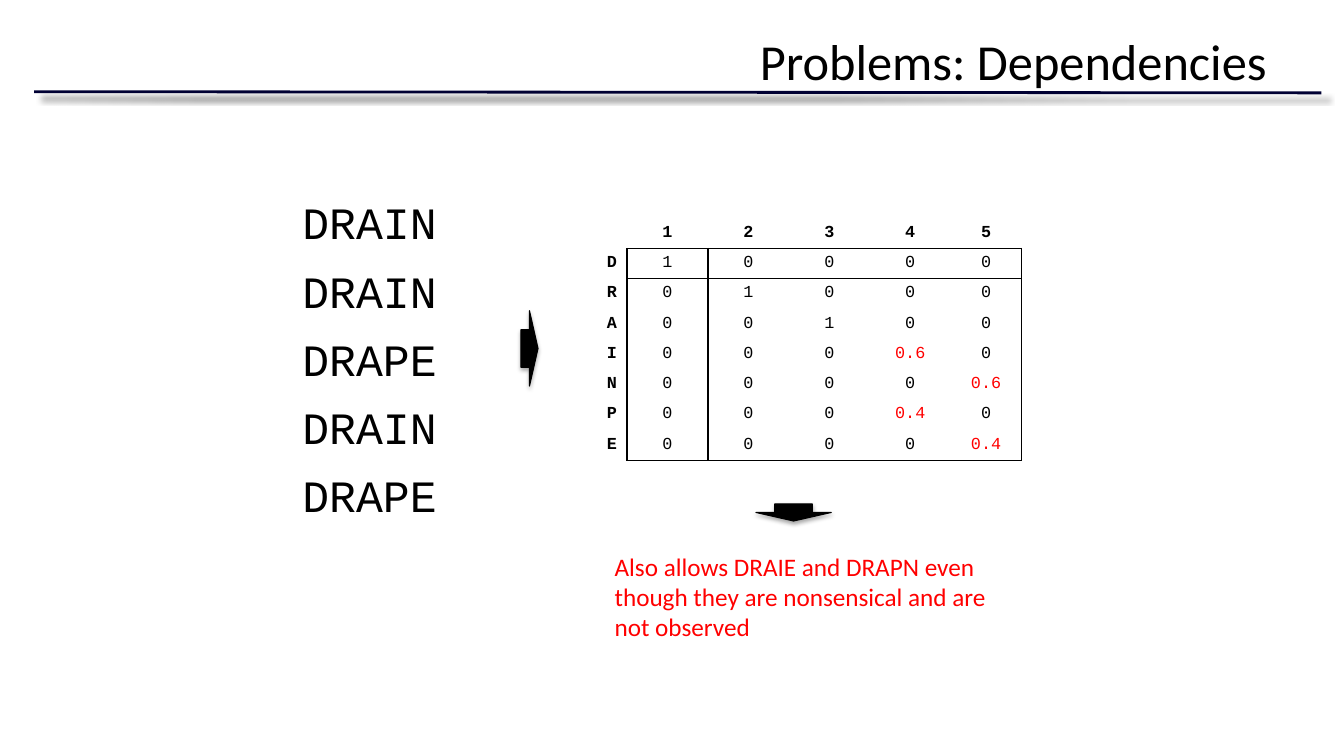
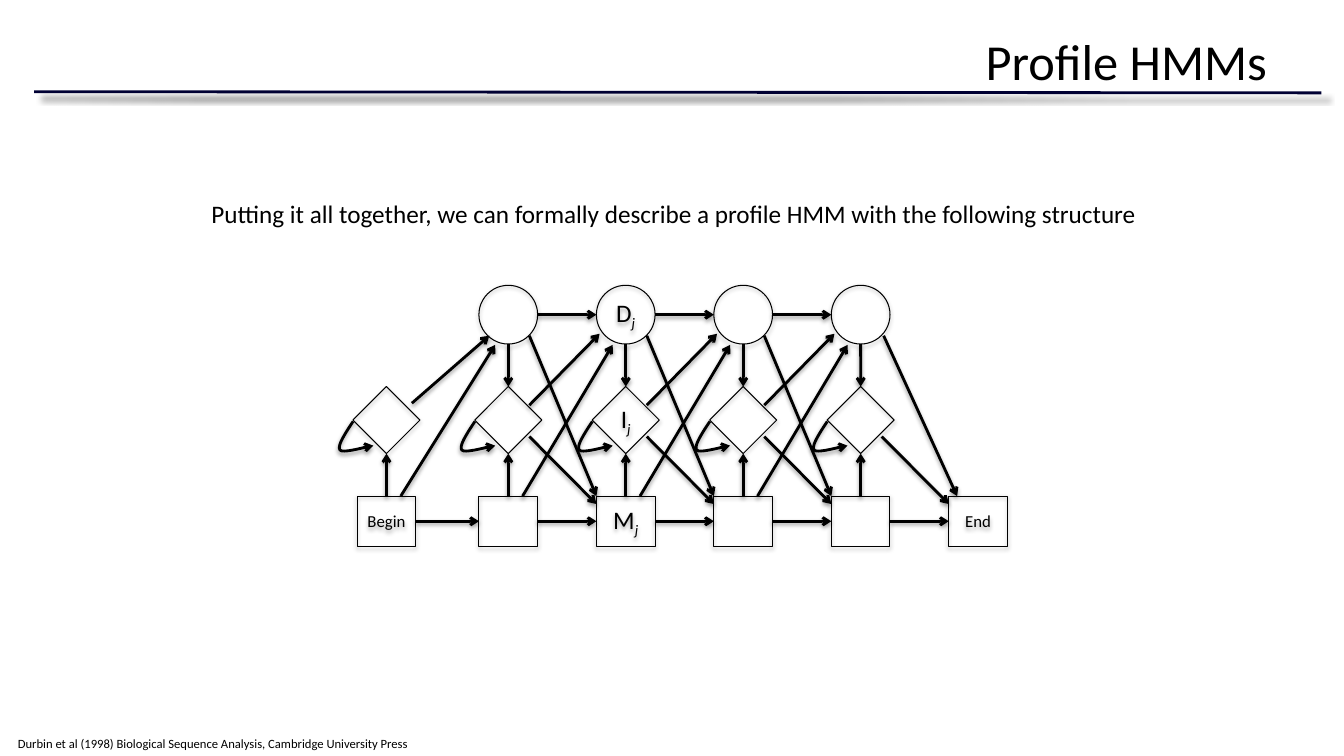
from dataclasses import dataclass

from pptx import Presentation
from pptx import util as u
from pptx.dml.color import RGBColor
from pptx.enum import shapes, text
from pptx.oxml import ns, parse_xml
from pptx.util import Cm, Pt


@dataclass(frozen=True)
class Theme:
    ink: str = "000000"
    accent: str = "FF0000"
    rule: str = "000033"
    sans: str = "Calibri"
    mono: str = "Courier New"
    title: int = 36
    sequence: int = 32
    body: int = 18
    small: int = 12
    source: int = 9
    thin: float = 0.75
    thick: float = 2


THEME = Theme()
KIND = shapes.MSO_SHAPE
ALIGN = text.PP_ALIGN
# Shadows: opacity %, blur pt, distance pt, angle
RULE_SHADOW = (50, 4, 6, 45)
SHAPE_SHADOW = (35, 3.1, 1.8, 90)
ARROW_SHADOW = (38, 3.1, 1.6, 90)

# Content: dependencies
SEQUENCES = ["DRAIN", "DRAIN", "DRAPE", "DRAIN", "DRAPE"]
PROBABILITIES = [
    ["", "1", "2", "3", "4", "5"],
    ["D", "1", "0", "0", "0", "0"],
    ["R", "0", "1", "0", "0", "0"],
    ["A", "0", "0", "1", "0", "0"],
    ["I", "0", "0", "0", "0.6", "0"],
    ["N", "0", "0", "0", "0", "0.6"],
    ["P", "0", "0", "0", "0.4", "0"],
    ["E", "0", "0", "0", "0", "0.4"],
]
COLUMN_WIDTHS = [0.77, 2.04, 2.04, 2.04, 2.04, 1.78]
ROW_HEIGHT = 0.73
WARNING = ("Also allows DRAIE and DRAPN even though they are "
           "nonsensical and are not observed")

# Content: profile HMM, in cm
INTRO = ("Putting it all together, we can formally describe a profile HMM "
         "with the following structure")
SOURCE = ("Durbin et al (1998) Biological Sequence Analysis, "
          "Cambridge University Press")
CENTRES = [9.74] + [12.81 + 2.96 * step for step in range(5)]
# Row: shape, top, width, height, columns, labels (text, subscript, size)
STATES = {
    "delete": (KIND.OVAL, 7.19, 1.48, 1.48, range(1, 5),
               {2: ("D", "j", THEME.body)}),
    "insert": (KIND.DIAMOND, 9.74, 1.69, 1.69, range(5),
               {2: ("I", "j", THEME.body)}),
    "match": (KIND.RECTANGLE, 12.5, 1.48, 1.27, range(6),
              {0: ("Begin", "", THEME.small), 2: ("M", "j", THEME.body),
               5: ("End", "", THEME.small)}),
}
# Diagonals to the next column: columns, start and end as (offset, y)
DIAGONALS = [
    (range(1), (0.64, 10.16), (-0.48, 8.46)),        # insert to delete
    (range(1, 4), (0.53, 10.21), (-0.66, 8.41)),
    (range(1, 5), (0.53, 11), (-0.74, 12.7)),        # insert to match
    (range(1, 4), (0.53, 8.46), (-0.74, 12.5)),      # delete to match
    (range(4, 5), (0.58, 8.46), (-0.53, 12.5)),
    (range(4), (0.36, 12.5), (-0.33, 8.69)),         # match to delete
]
LOOP_TOP = 10.62
LOOP_CURVES = [
    ((-0.84, 0), (-1.04, 0.3), (-1.25, 0.62), (-1.17, 0.72)),
    ((-1.17, 0.72), (-1.09, 0.82), (-0.43, 0.61), (-0.33, 0.61)),
]


# Drawing helpers
def xml(body):
    return parse_xml(body.replace(">", f" {ns.nsdecls('a')}>", 1))


def add_shadow(item, opacity, blur, distance, angle):
    item.element.spPr.append(xml(
        f'<a:effectLst><a:outerShdw blurRad="{Pt(blur)}" dist="{Pt(distance)}" '
        f'dir="{angle * 60000}" algn="ctr" rotWithShape="0">'
        f'<a:srgbClr val="{THEME.ink}"><a:alpha val="{opacity * 1000}"/>'
        '</a:srgbClr></a:outerShdw></a:effectLst>'))


def style_line(item, color, width, arrow=False):
    item.line.color.rgb = RGBColor.from_string(color)
    item.line.width = Pt(width)
    if arrow:
        item.element.spPr.find(ns.qn("a:ln")).append(
            xml('<a:tailEnd type="arrow"></a:tailEnd>'))


def style_font(font, size, face=THEME.sans, color=THEME.ink, bold=False):
    font.size, font.name, font.bold = Pt(size), face, bold
    font.color.rgb = RGBColor.from_string(color)


def add_text(page, place, lines, size, face=THEME.sans, color=THEME.ink,
             align=ALIGN.LEFT, spacing=None, inset=True):
    box = page.shapes.add_textbox(*map(Cm, place))
    frame = box.text_frame
    frame.word_wrap = True
    if not inset:
        frame.margin_left = frame.margin_right = 0
        frame.margin_top = frame.margin_bottom = 0
    frame.text = "\n".join(lines)
    for para in frame.paragraphs:
        para.alignment = align
        para.line_spacing = spacing
        for span in para.runs:
            style_font(span.font, size, face, color)


def add_line(page, start, end, color=THEME.ink, arrow=True,
             shadow=ARROW_SHADOW):
    line = page.shapes.add_connector(
        shapes.MSO_CONNECTOR.STRAIGHT, *map(Cm, start + end))
    style_line(line, color, THEME.thick, arrow)
    add_shadow(line, *shadow)
    return line


def add_page(deck, title):
    page = deck.slides.add_slide(deck.slide_layouts[6])
    add_line(page, (0.86, 2.31), (33.3, 2.34), THEME.rule, False, RULE_SHADOW)
    add_text(page, (1.7, 0.64, 30.48, 3.18), [title], THEME.title,
             align=ALIGN.RIGHT)
    return page


# Dependencies: probability table and block arrows
def set_borders(cell, sides):
    properties = cell._tc.get_or_add_tcPr()
    for index, side in enumerate("LRTB"):
        paint = (f'<a:solidFill><a:srgbClr val="{THEME.ink}"/></a:solidFill>'
                 if side in sides else "<a:noFill/>")
        properties.insert(index, xml(
            f'<a:ln{side} w="{Pt(1)}">{paint}</a:ln{side}>'))


def add_probabilities(page):
    rows, cols = len(PROBABILITIES), len(COLUMN_WIDTHS)
    frame = page.shapes.add_table(rows, cols, Cm(15.03), Cm(5.5),
                                  Cm(sum(COLUMN_WIDTHS)), Cm(ROW_HEIGHT * rows))
    table = frame.table
    table.first_row = table.horz_banding = False
    for column, width in zip(table.columns, COLUMN_WIDTHS):
        column.width = Cm(width)
    # Edges ruled: around the numbers, and after their first row and column
    ruled_rows, ruled_cols = {1, 2, rows}, {1, 2, cols}
    for r, values in enumerate(PROBABILITIES):
        table.rows[r].height = Cm(ROW_HEIGHT)
        for c, value in enumerate(values):
            cell = table.cell(r, c)
            cell.fill.background()
            edges = {"L": r and c in ruled_cols, "R": r and c + 1 in ruled_cols,
                     "T": c and r in ruled_rows, "B": c and r + 1 in ruled_rows}
            set_borders(cell, [side for side, ruled in edges.items() if ruled])
            cell.text_frame.text = value
            para = cell.text_frame.paragraphs[0]
            para.alignment = ALIGN.CENTER if c else ALIGN.RIGHT
            style_font(para.font if not value else para.runs[0].font,
                       THEME.small, THEME.mono,
                       THEME.accent if "." in value else THEME.ink,
                       bold=r == 0 or c == 0)


def add_block_arrow(page, kind, place):
    arrow = page.shapes.add_shape(kind, *map(Cm, place))
    arrow.fill.solid()
    arrow.fill.fore_color.rgb = RGBColor.from_string(THEME.ink)
    style_line(arrow, THEME.ink, THEME.thin)
    add_shadow(arrow, *SHAPE_SHADOW)


def build_dependencies(deck):
    page = add_page(deck, "Problems: Dependencies")
    add_text(page, (7.62, 4.55, 4.24, 8.89), SEQUENCES, THEME.sequence,
             THEME.mono, spacing=1.27, inset=False)
    add_probabilities(page)
    add_block_arrow(page, KIND.RIGHT_ARROW, (13.13, 7.83, 0.43, 1.9))
    add_block_arrow(page, KIND.DOWN_ARROW, (19.05, 12.7, 1.9, 0.43))
    add_text(page, (15.24, 13.76, 10.8, 2.75), [WARNING], THEME.body,
             color=THEME.accent)


# Profile HMM: states, arrows and loops
def add_state(page, kind, place, label):
    state = page.shapes.add_shape(kind, *map(Cm, place))
    state.fill.background()
    style_line(state, THEME.ink, THEME.thin)
    add_shadow(state, *SHAPE_SHADOW)
    if label:
        name, subscript, size = label
        frame = state.text_frame
        frame.margin_left = frame.margin_right = 0
        frame.margin_top = frame.margin_bottom = 0
        frame.word_wrap = False
        frame.vertical_anchor = text.MSO_ANCHOR.MIDDLE
        para = frame.paragraphs[0]
        para.text = name
        para.alignment = ALIGN.CENTER
        if subscript:
            span = para.add_run()
            span.text = subscript
            span.font.italic = True
            span._r.get_or_add_rPr().set("baseline", "-25000")
        for span in para.runs:
            style_font(span.font, size)
    return state


def add_loop(page, centre):
    steps = [step / 10 for step in range(11)]
    points = [
        tuple(int(Cm(origin + sum(weight * point[axis] for weight, point in zip(
            ((1 - t) ** 3, 3 * t * (1 - t) ** 2, 3 * t * t * (1 - t), t ** 3),
            curve)))) for axis, origin in enumerate((centre, LOOP_TOP)))
        for curve in LOOP_CURVES for t in steps]
    builder = page.shapes.build_freeform(*points[0])
    builder.add_line_segments(points[1:], close=False)
    loop = builder.convert_to_shape()
    loop.fill.background()
    style_line(loop, THEME.ink, THEME.thick, arrow=True)
    add_shadow(loop, *ARROW_SHADOW)


def build_profile(deck):
    page = add_page(deck, "Profile HMMs")
    add_text(page, (5.08, 4.88, 24.2, 1.02), [INTRO], THEME.body)
    add_text(page, (0.2, 18.42, 10.6, 0.63), [SOURCE], THEME.source)

    state = {}
    for row, (kind, top, width, height, columns, labels) in STATES.items():
        for col in columns:
            place = (CENTRES[col] - width / 2, top, width, height)
            state[row, col] = add_state(page, kind, place, labels.get(col))

    # Straight arrows along and between the rows
    delete_top, delete_size = STATES["delete"][1:3]
    delete_middle, radius = delete_top + delete_size / 2, delete_size / 2
    insert_top, match_top = STATES["insert"][1], STATES["match"][1]
    for col, centre in enumerate(CENTRES):
        if ("match", col + 1) in state:
            line = add_line(page, (centre, match_top), (CENTRES[col + 1], match_top))
            line.begin_connect(state["match", col], 3)
            line.end_connect(state["match", col + 1], 1)
        if ("insert", col) in state:
            line = add_line(page, (centre, match_top), (centre, insert_top))
            line.begin_connect(state["match", col], 0)
            line.end_connect(state["insert", col], 2)
            add_loop(page, centre)
        if ("delete", col) in state:
            line = add_line(page, (centre, delete_top + delete_size),
                            (centre, insert_top))
            line.end_connect(state["insert", col], 0)
        if ("delete", col) in state and ("delete", col + 1) in state:
            add_line(page, (centre + radius, delete_middle),
                     (CENTRES[col + 1] - radius, delete_middle))

    for columns, (start_dx, start_y), (end_dx, end_y) in DIAGONALS:
        for col in columns:
            add_line(page, (CENTRES[col] + start_dx, start_y),
                     (CENTRES[col + 1] + end_dx, end_y))


def main():
    deck = Presentation()
    deck.slide_width, deck.slide_height = u.Cm(33.87), u.Cm(19.05)
    build_dependencies(deck)
    build_profile(deck)
    deck.save("out.pptx")


if __name__ == "__main__":
    main()
